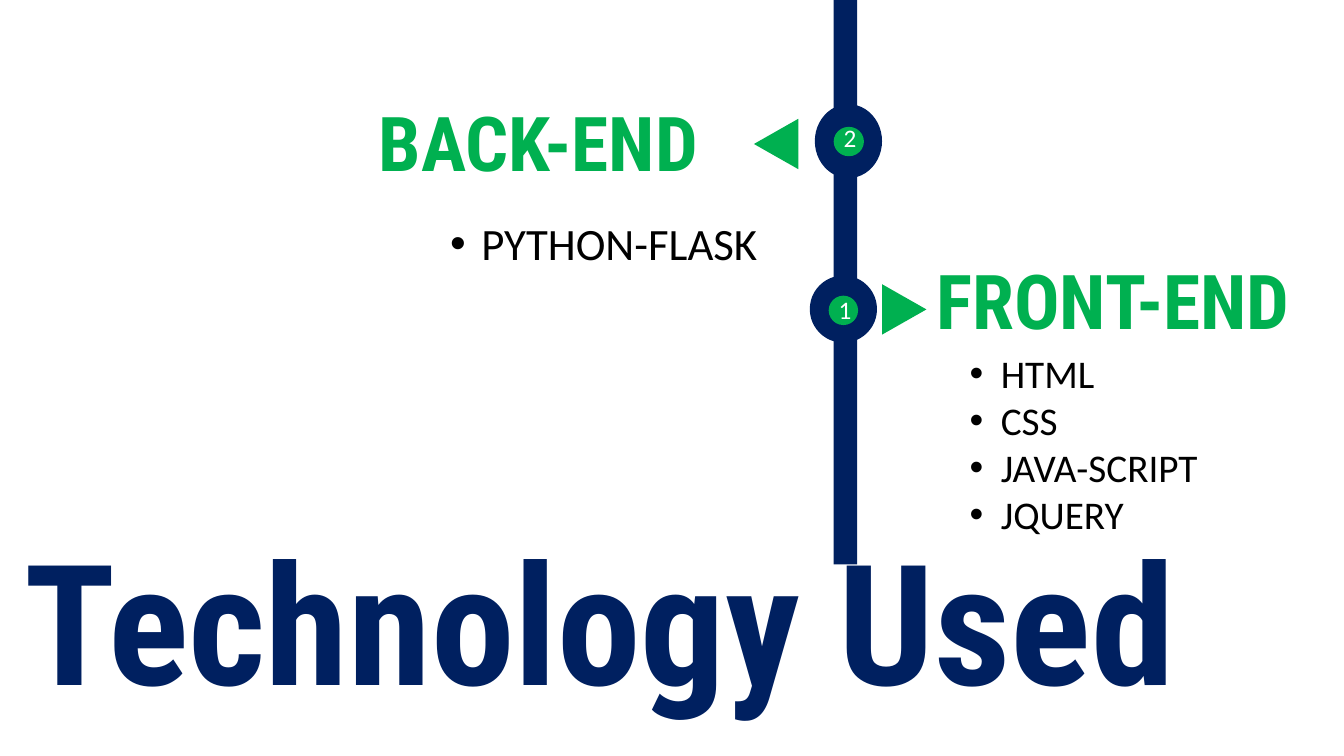
from lxml.etree import SubElement
from pptx import Presentation
from pptx.dml.color import RGBColor
from pptx.enum.shapes import MSO_SHAPE
from pptx.oxml.ns import qn
from pptx.util import Inches, Pt

COLORS = {"navy": "002060", "green": "00B050", "white": "FFFFFF", "black": "000000"}
HEADING_FONT = "Roboto Condensed"
BODY_FONT = "Calibri"
COLUMNS, ROWS = 160, 90


class TimelineSlide:
    """Draws styled elements on one slide, placed by grid columns and rows."""

    def __init__(self, presentation):
        self.slide = presentation.slides.add_slide(presentation.slide_layouts[6])
        self.column = presentation.slide_width / COLUMNS
        self.row = presentation.slide_height / ROWS

    def place(self, left, top, width, height):
        return (round(left * self.column), round(top * self.row),
                round(width * self.column), round(height * self.row))

    def shape(self, kind, box, color, rotation=0):
        shape = self.slide.shapes.add_shape(kind, *self.place(*box))
        shape.shadow.inherit = False
        shape.fill.solid()
        shape.fill.fore_color.rgb = RGBColor.from_string(COLORS[color])
        shape.line.fill.background()
        shape.rotation = rotation

    def text(self, box, lines, size, color, font=BODY_FONT, bold=False, bullets=False):
        frame = self.slide.shapes.add_textbox(*self.place(*box)).text_frame
        frame.word_wrap = True
        for index, line in enumerate(lines):
            paragraph = frame.add_paragraph() if index else frame.paragraphs[0]
            if bullets:
                self.bullet(paragraph)
            run = paragraph.add_run()
            run.text = line
            run.font.name = font
            run.font.size = Pt(size)
            run.font.bold = bold
            run.font.color.rgb = RGBColor.from_string(COLORS[color])

    def bullet(self, paragraph):
        properties = paragraph._p.get_or_add_pPr()
        indent = Inches(0.31)
        properties.set("marL", str(indent))
        properties.set("indent", str(-indent))
        SubElement(properties, qn("a:buFont")).set("typeface", "Arial")
        SubElement(properties, qn("a:buChar")).set("char", "•")

    def heading(self, box, text, size, color):
        self.text(box, [text], size, color, HEADING_FONT, True)

    def node(self, number, ring, dot, label):
        self.shape(MSO_SHAPE.OVAL, ring, "navy")
        self.shape(MSO_SHAPE.OVAL, dot, "green")
        self.text(label, [number], 18, "white")

    def pointer(self, left, top, rotation):
        self.shape(MSO_SHAPE.ISOSCELES_TRIANGLE, (left, top, 6, 5.28), "green", rotation)


def main():
    presentation = Presentation()
    presentation.slide_width = Inches(13.33)
    presentation.slide_height = Inches(7.5)
    timeline = TimelineSlide(presentation)

    timeline.heading((1.7, 61, 146.5, 25.4), "Technology Used", 120, "navy")
    timeline.shape(MSO_SHAPE.RECTANGLE, (99.25, 0, 2.8, 67.2), "navy")

    timeline.node("2", (97, 12.4, 8, 8.8), (99.25, 15.1, 3.6, 3.5), (99.25, 14, 3.1, 4.8))
    timeline.pointer(89.4, 14.5, 270)
    timeline.heading((43.9, 10.8, 59.9, 12.1), "BACK-END", 54, "green")
    timeline.text((52.4, 25.1, 46.8, 7.7), ["PYTHON-FLASK"], 32, "black", bullets=True)

    timeline.node("1", (96.4, 32.8, 8, 8), (98.65, 35.2, 3.5, 3.5), (98.65, 34.4, 3.1, 4.8))
    timeline.pointer(104.65, 34.2, 90)
    timeline.heading((110.3, 29.6, 49.7, 12.1), "FRONT-END", 54, "green")
    timeline.text((114.25, 41, 32, 23.9), ["HTML", "CSS", "JAVA-SCRIPT", "JQUERY"],
                  28, "black", bullets=True)

    presentation.save("out.pptx")


if __name__ == "__main__":
    main()
